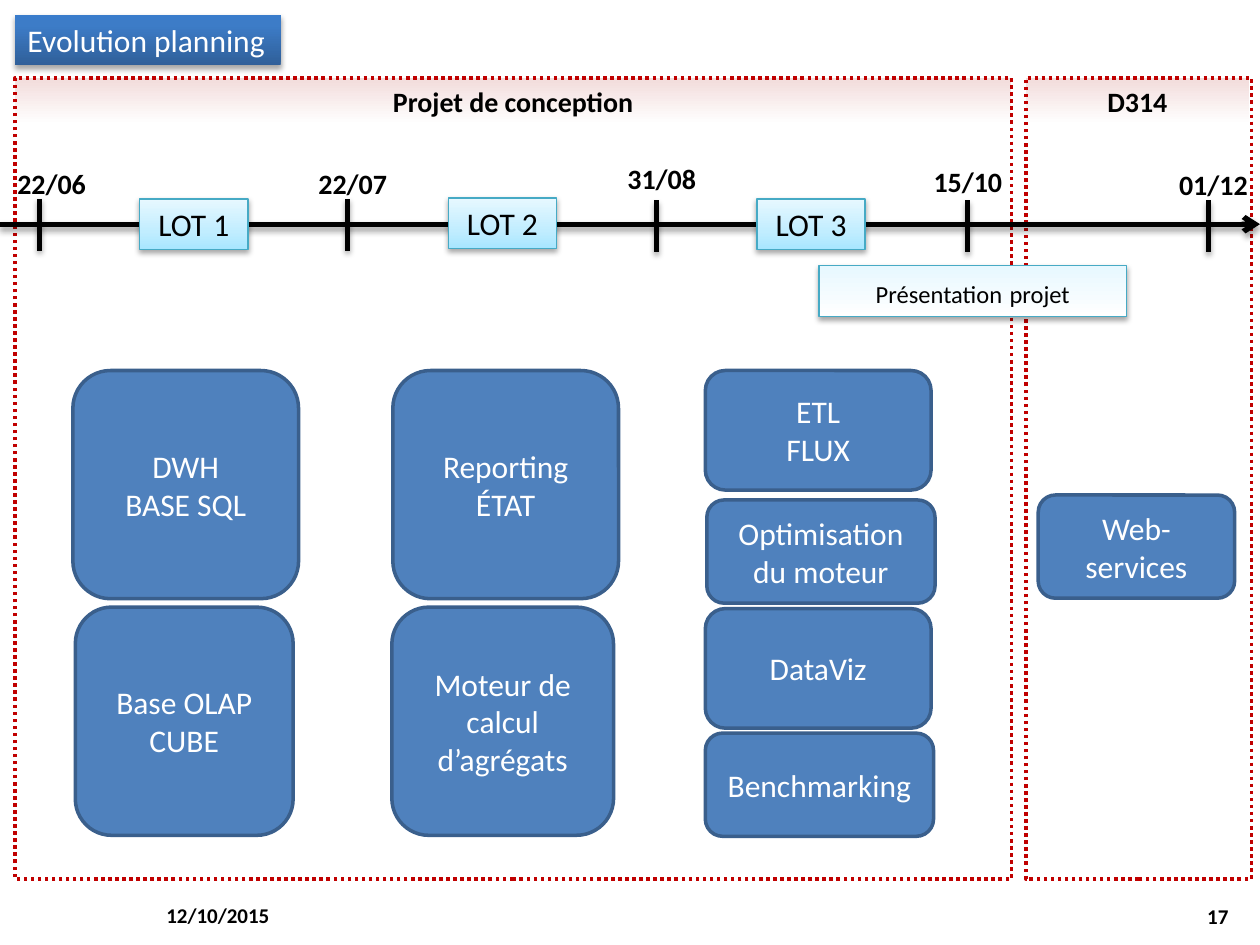
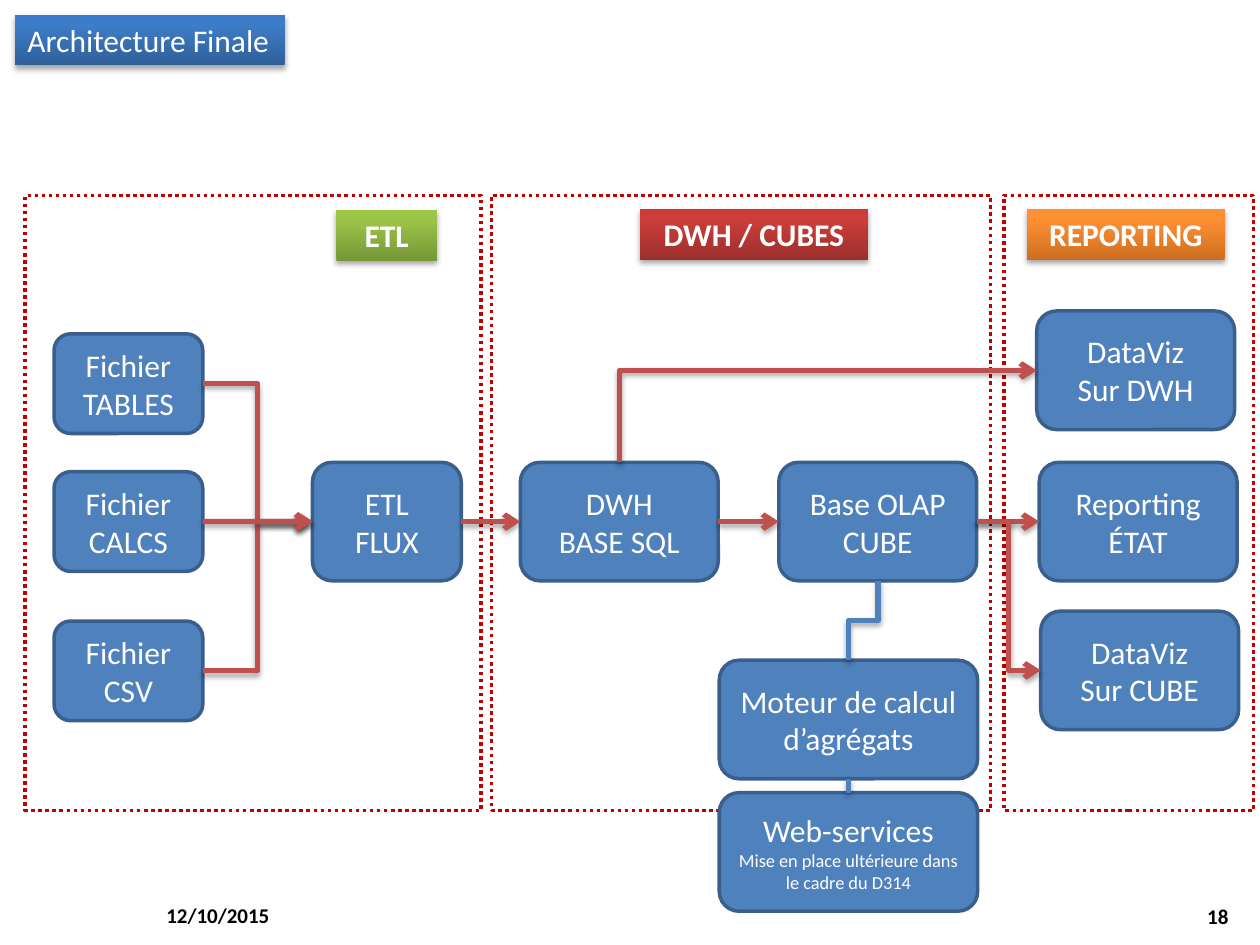
import copy

import pptx
import pptx.dml.color
import pptx.enum.dml
import pptx.enum.shapes
import pptx.enum.text
import pptx.oxml
import pptx.oxml.ns
import pptx.util

Cm = pptx.util.Cm
Pt = pptx.util.Pt
RGBColor = pptx.dml.color.RGBColor
SHAPE = pptx.enum.shapes.MSO_SHAPE
CONNECTOR = pptx.enum.shapes.MSO_CONNECTOR
ALIGN = pptx.enum.text.PP_ALIGN
ANCHOR = pptx.enum.text.MSO_ANCHOR
qn = pptx.oxml.ns.qn
NS = pptx.oxml.ns.nsdecls("a")

BLACK = RGBColor(0x00, 0x00, 0x00)
WHITE = RGBColor(0xFF, 0xFF, 0xFF)
BLUE = RGBColor(0x4F, 0x81, 0xBD)
BLUE_EDGE = RGBColor(0x3A, 0x5F, 0x8C)
CYAN_EDGE = RGBColor(0x46, 0xAA, 0xC5)
DARK_RED = RGBColor(0xC0, 0x00, 0x00)
RED = RGBColor(0xC0, 0x50, 0x4D)
PINK = RGBColor(0xF2, 0xDC, 0xDB)
PALE_CYAN = RGBColor(0xE7, 0xF8, 0xFF)

PINK_FADE = [(0, WHITE), (100, PINK)]
CYAN_FADE = [(0, WHITE), (100, PALE_CYAN)]
CYAN_BAND = [(0, RGBColor(0xA7, 0xE6, 0xFF)), (35, RGBColor(0xC1, 0xED, 0xFF)), (100, PALE_CYAN)]
BLUE_BAND = [(0, RGBColor(0x2F, 0x5F, 0x99)), (80, RGBColor(0x3D, 0x7C, 0xC7)), (100, RGBColor(0x3A, 0x7C, 0xCB))]
GREEN_BAND = [(0, RGBColor(0x77, 0x97, 0x37)), (80, RGBColor(0x9B, 0xC3, 0x48)), (100, RGBColor(0x9D, 0xC7, 0x46))]
RED_BAND = [(0, RGBColor(0x9C, 0x2F, 0x2D)), (80, RGBColor(0xCB, 0x3E, 0x3A)), (100, RGBColor(0xCE, 0x3B, 0x37))]
ORANGE_BAND = [(0, RGBColor(0xCC, 0x6E, 0x20)), (80, RGBColor(0xFF, 0x90, 0x34)), (100, RGBColor(0xFF, 0x91, 0x36))]

SHADOW = (
    f'<a:outerShdw {NS} blurRad="40000" dist="23000" dir="5400000" rotWithShape="0">'
    '<a:srgbClr val="000000"><a:alpha val="35000"/></a:srgbClr></a:outerShdw>'
)

BODY = {"name": "Calibri", "size": Pt(18), "bold": False}
STRONG = {"name": "Calibri", "size": Pt(18), "bold": True}
HEADING = {"name": "Calibri", "size": Pt(16), "bold": True}
FOOTER = {"name": "Calibri", "size": Pt(12), "bold": True}
NOTE = {"name": "Calibri", "size": Pt(14), "bold": False}

TASK = dict(kind=SHAPE.ROUNDED_RECTANGLE, fill=BLUE, edge=BLUE_EDGE, width=2, color=WHITE)
FRAME = dict(edge=DARK_RED, width=2, dash=pptx.enum.dml.MSO_LINE.ROUND_DOT)
LOT = dict(fill=CYAN_BAND, edge=CYAN_EDGE, anchor=ANCHOR.TOP, shadow=True)
LABEL = dict(font=STRONG, color=WHITE, anchor=ANCHOR.TOP, shadow=True)


def dress(shape, place, text="", fill=None, edge=None, width=0.75, dash=None, font=BODY,
          color=BLACK, align=ALIGN.CENTER, anchor=ANCHOR.MIDDLE, shadow=False, wrap=True, kind=None):
    for side, value in zip(("left", "top", "width", "height"), place):
        setattr(shape, side, Cm(value))
    if isinstance(fill, list):
        shape.fill.gradient()
        shape.fill.gradient_angle = 90
        stops = shape._element.spPr.find(".//" + qn("a:gsLst"))
        for stop in list(stops):
            stops.remove(stop)
        for position, tint in fill:
            stops.append(pptx.oxml.parse_xml(
                f'<a:gs {NS} pos="{position * 1000}"><a:srgbClr val="{tint}"/></a:gs>'))
    elif fill is not None:
        shape.fill.solid()
        shape.fill.fore_color.rgb = fill
    else:
        shape.fill.background()
    if edge is not None:
        shape.line.color.rgb = edge
        shape.line.width = Pt(width)
        if dash is not None:
            shape.line.dash_style = dash
    else:
        shape.line.fill.background()
    shape.shadow.inherit = False
    if shadow:
        shape._element.spPr.find(qn("a:effectLst")).append(pptx.oxml.parse_xml(SHADOW))
    frame = shape.text_frame
    frame.text = text
    frame.word_wrap = wrap
    frame.auto_size = pptx.enum.text.MSO_AUTO_SIZE.NONE
    frame.vertical_anchor = anchor
    for paragraph in frame.paragraphs:
        paragraph.alignment = align
        for run in paragraph.runs:
            for attribute, value in font.items():
                setattr(run.font, attribute, value)
            run.font.color.rgb = color
    return shape


def connect(slide, start, end, color, arrow=True, kind=CONNECTOR.STRAIGHT):
    line = slide.shapes.add_connector(kind, *(Cm(value) for value in (*start, *end)))
    line.line.color.rgb = color
    line.line.width = Pt(3)
    if arrow:
        line.line._get_or_add_ln().append(pptx.oxml.parse_xml(f'<a:tailEnd {NS} type="arrow"/>'))
    line._element.spPr.append(pptx.oxml.parse_xml(f"<a:effectLst {NS}>{SHADOW}</a:effectLst>"))
    return line


prs = pptx.Presentation()
prs.slide_width = Cm(25.4)
prs.slide_height = Cm(19.05)
prs.element.set("firstSlideNum", "17")
layout = prs.slide_layouts[5]
footers = {shape.placeholder_format.idx: shape for shape in layout.placeholders}

slides = []
for number, title, title_width in [(17, "Evolution planning", 5.36), (18, "Architecture Finale", 5.44)]:
    slide = prs.slides.add_slide(layout)
    dress(slide.shapes.title, (0.3, 0.3, title_width, 1.02), title, fill=BLUE_BAND, color=WHITE,
          align=ALIGN.LEFT, anchor=ANCHOR.TOP, shadow=True, wrap=False)
    for idx in (10, 12):
        slide.shapes._spTree.append(copy.deepcopy(footers[idx]._element))
    date = dress(slide.placeholders[10], (3.1, 17.93, 5.92, 1.02), "12/10/2015", font=FOOTER, align=ALIGN.LEFT)
    page = slide.placeholders[12]
    for side, value in zip(("left", "top", "width", "height"), (19.1, 17.96, 5.92, 1.02)):
        setattr(page, side, Cm(value))
    field = page._element.find(".//" + qn("a:fld"))
    field.replace(field.find(qn("a:rPr")), copy.deepcopy(date._element.find(".//" + qn("a:rPr"))))
    field.find(qn("a:t")).text = str(number)
    page.text_frame.paragraphs[0].alignment = ALIGN.RIGHT
    slides.append(slide)
planning, architecture = slides

for left, header_width, frame_width, phase in [(0.3, 20.09, 20.09, "Projet de conception"), (20.68, 4.5, 4.55, "D314")]:
    dress(planning.shapes.add_shape(SHAPE.RECTANGLE, 0, 0, 0, 0), (left, 1.57, header_width, 0.94), phase,
          fill=PINK_FADE, font=HEADING)
    dress(planning.shapes.add_shape(SHAPE.RECTANGLE, 0, 0, 0, 0), (left, 1.57, frame_width, 16.15), **FRAME)

connect(planning, (0, 4.52), (25.4, 4.52), BLACK)
milestones = [
    ("22/06", 0.1, 3.23, 2.84, 0.79, 4.01),
    ("22/07", 6.17, 3.23, 2.84, 7.01, 4.01),
    ("31/08", 12.4, 3.12, 2.84, 13.23, 4.04),
    ("15/10", 18.57, 3.18, 2.84, 19.51, 4.04),
    ("01/12", 23.52, 3.25, 1.96, 24.36, 4.04),
]
for day, left, top, day_width, tick, tick_top in milestones:
    connect(planning, (tick, tick_top), (tick, tick_top + 1.04), BLACK, arrow=False)
    dress(planning.shapes.add_textbox(0, 0, 0, 0), (left, top, day_width, 0.94), day, font=HEADING, align=ALIGN.LEFT)

for index, top in enumerate((4.01, 3.99, 4.01)):
    dress(planning.shapes.add_shape(SHAPE.RECTANGLE, 0, 0, 0, 0), (2.82 + 6.22 * index, top, 2.18, 1.02),
          f"LOT {index + 1}", **LOT)

presentation = dress(planning.shapes.add_shape(SHAPE.RECTANGLE, 0, 0, 0, 0), (16.51, 5.36, 6.2, 1.02),
                     "Présentation", **{**LOT, "fill": CYAN_FADE, "font": NOTE})
for word, font in [(" ", BODY), ("projet", NOTE)]:
    run = presentation.text_frame.paragraphs[0].add_run()
    run.text = word
    for attribute, value in font.items():
        setattr(run.font, attribute, value)
    run.font.color.rgb = BLACK

planning_tasks = [
    ("DWH\nBASE SQL", 1.47, 7.47, 4.55, 4.6),
    ("Base OLAP\nCUBE", 1.52, 12.24, 4.39, 4.6),
    ("Reporting\nÉTAT", 7.92, 7.47, 4.55, 4.6),
    ("Moteur de calcul d’agrégats", 7.9, 12.24, 4.47, 4.6),
    ("ETL\nFLUX", 14.22, 7.47, 4.55, 2.41),
    ("Optimisation du moteur", 14.25, 10.08, 4.6, 2.08),
    ("DataViz", 14.22, 12.27, 4.55, 2.41),
    ("Benchmarking", 14.22, 14.78, 4.6, 2.08),
    ("Web-services", 20.93, 9.98, 3.96, 2.08),
]
for text, *place in planning_tasks:
    dress(planning.shapes.add_shape(TASK["kind"], 0, 0, 0, 0), place, text, **TASK)

for left, frame_width in [(0.51, 9.19), (9.91, 10.06), (20.24, 5.03)]:
    dress(architecture.shapes.add_shape(SHAPE.RECTANGLE, 0, 0, 0, 0), (left, 3.94, frame_width, 12.4), **FRAME)

for stage, left, top, label_width, band in [
    ("ETL", 6.78, 4.24, 2.03, GREEN_BAND),
    ("DWH / CUBES", 12.9, 4.22, 4.6, RED_BAND),
    ("REPORTING", 20.7, 4.22, 3.99, ORANGE_BAND),
]:
    dress(architecture.shapes.add_shape(SHAPE.RECTANGLE, 0, 0, 0, 0), (left, top, label_width, 1.02), stage,
          fill=band, **LABEL)

components = {
    "tables": ("Fichier\nTABLES", 1.09, 6.73, 3, 2.01),
    "sheet": ("Fichier\nCALCS", 1.09, 9.51, 3, 2.01),
    "csv": ("Fichier\nCSV", 1.09, 12.52, 3, 2.01),
    "etl": ("ETL\nFLUX", 6.3, 9.32, 3, 2.39),
    "dwh": ("DWH\nBASE SQL", 10.49, 9.32, 3.99, 2.39),
    "olap": ("Base OLAP\nCUBE", 15.7, 9.32, 3.99, 2.39),
    "reporting": ("Reporting\nÉTAT", 20.95, 9.32, 3.99, 2.39),
    "viz_olap": ("DataViz\nSur CUBE", 20.98, 12.32, 3.99, 2.39),
    "viz_dwh": ("DataViz\nSur DWH", 20.9, 6.27, 3.99, 2.39),
    "engine": ("Moteur de calcul d’agrégats", 14.5, 13.31, 5.21, 2.39),
    "services": ("Web-services\nMise en place ultérieure dans le cadre du D314", 14.5, 15.98, 5.21, 2.39),
}
nodes = {}
for key, (text, *place) in components.items():
    nodes[key] = dress(architecture.shapes.add_shape(TASK["kind"], 0, 0, 0, 0), place, text, **TASK)
nodes["services"].text_frame.paragraphs[1].runs[0].font.size = Pt(10.5)

for source, target, kind in [
    ("tables", "etl", CONNECTOR.ELBOW),
    ("csv", "etl", CONNECTOR.ELBOW),
    ("sheet", "etl", CONNECTOR.STRAIGHT),
    ("etl", "dwh", CONNECTOR.STRAIGHT),
    ("dwh", "olap", CONNECTOR.STRAIGHT),
    ("olap", "reporting", CONNECTOR.STRAIGHT),
    ("olap", "viz_olap", CONNECTOR.ELBOW),
]:
    flow = connect(architecture, (0, 0), (1, 1), RED, kind=kind)
    flow.begin_connect(nodes[source], 3)
    flow.end_connect(nodes[target], 1)

service_link = connect(architecture, (0, 0), (1, 1), BLUE, arrow=False)
service_link.begin_connect(nodes["services"], 0)
service_link.end_connect(nodes["engine"], 2)

for start, end, color, arrow, bend in [
    ((17.1, 13.31), (17.7, 11.71), BLUE, False, "bentConnector3"),
    ((12.49, 9.32), (20.9, 7.47), RED, True, "bentConnector2"),
]:
    middle_x, middle_y = (start[0] + end[0]) / 2, (start[1] + end[1]) / 2
    half_x, half_y = (end[0] - start[0]) / 2, (start[1] - end[1]) / 2
    riser = connect(architecture, (middle_x + half_y, middle_y + half_x), (middle_x - half_y, middle_y - half_x),
                    color, arrow, CONNECTOR.ELBOW)
    riser._element.spPr.find(qn("a:xfrm")).set("rot", "5400000")
    riser._element.spPr.find(qn("a:prstGeom")).set("prst", bend)

prs.save("out.pptx")
